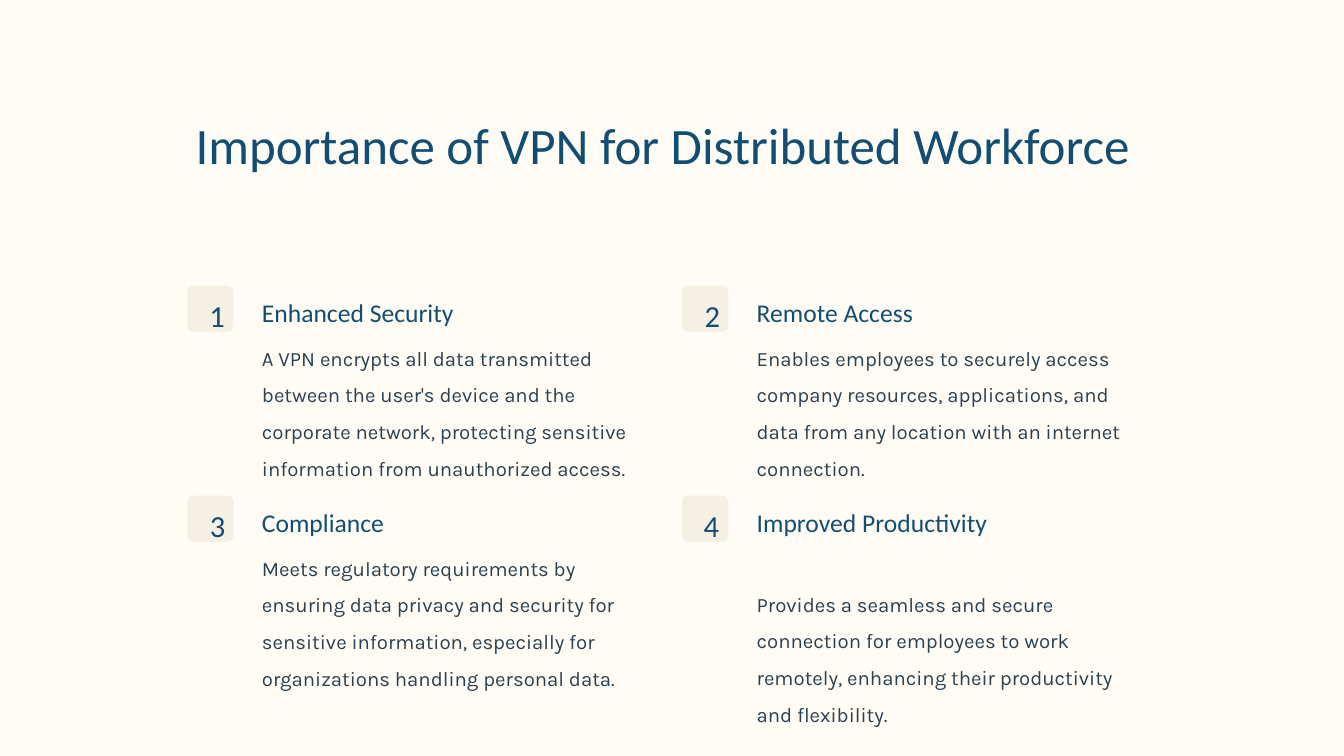
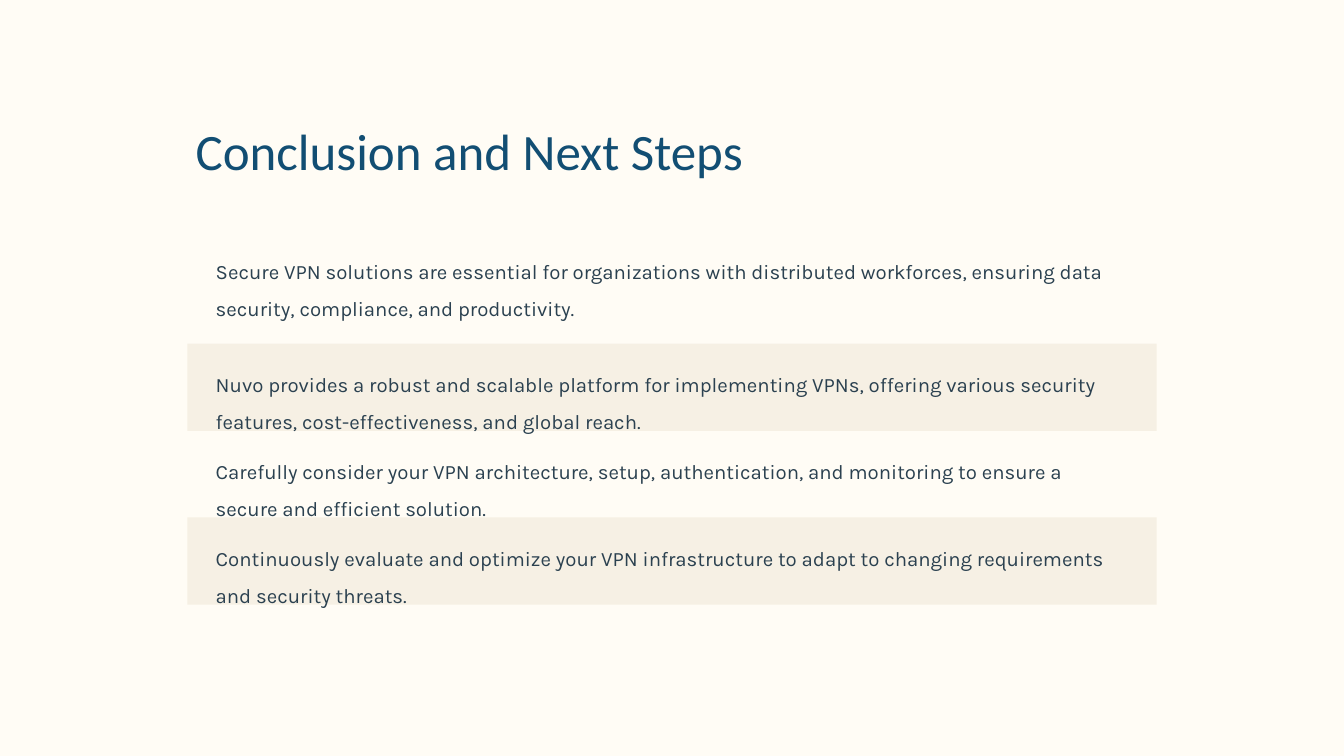
from dataclasses import dataclass

from pptx import Presentation
from pptx.dml.color import RGBColor
from pptx.enum.shapes import MSO_SHAPE
from pptx.enum.text import PP_ALIGN
from pptx.util import Emu, Pt

RECTANGLE = MSO_SHAPE.RECTANGLE
ROUNDED = MSO_SHAPE.ROUNDED_RECTANGLE
LEFT = PP_ALIGN.LEFT
CENTER = PP_ALIGN.CENTER
EMU_PER_PX = 9144
BLANK_LAYOUT = 6


@dataclass(frozen=True)
class TextStyle:
    font: str
    size: float
    color: RGBColor
    spacing: float
    align: PP_ALIGN = LEFT


class Theme:
    cream = RGBColor.from_string("FFFCF5")
    sand = RGBColor.from_string("F6F0E4")
    navy = RGBColor.from_string("124E73")
    slate = RGBColor.from_string("2B4150")
    title = TextStyle("Calibri", 43.7, navy, 1.25)
    heading = TextStyle("Calibri", 21.9, navy, 1.25)
    number = TextStyle("Calibri", 26.2, navy, 1.0, CENTER)
    body = TextStyle("Karla", 17.5, slate, 1.5)


@dataclass(frozen=True)
class Benefit:
    heading: str
    body: str
    number_width: int
    body_height: int
    heading_width: int = 304
    body_offset: int = 52


MARGIN = 223
CONTENT_WIDTH = 1154
BADGE_SIZE = 55
COLUMN_PITCH = 589
ROW_PITCH = 250
GRID_TOP = 340
BAND_TOP = 409
BAND_HEIGHT = 104
TWO_BAND_PITCH = 207

BENEFITS = [
    Benefit(
        "Enhanced Security",
        "A VPN encrypts all data transmitted between the user's device and the "
        "corporate network, protecting sensitive information from unauthorized access.",
        17, 146,
    ),
    Benefit(
        "Remote Access",
        "Enables employees to securely access company resources, applications, and "
        "data from any location with an internet connection.",
        20, 109,
    ),
    Benefit(
        "Compliance",
        "Meets regulatory requirements by ensuring data privacy and security for "
        "sensitive information, especially for organizations handling personal data.",
        21, 146,
    ),
    Benefit(
        "Improved Productivity",
        "Provides a seamless and secure connection for employees to work remotely, "
        "enhancing their productivity and flexibility.",
        23, 109, heading_width=330, body_offset=95,
    ),
]

SUMMARY = (
    "Secure VPN solutions are essential for organizations with distributed "
    "workforces, ensuring data security, compliance, and productivity."
)
NEXT_STEPS = [
    "Nuvo provides a robust and scalable platform for implementing VPNs, offering "
    "various security features, cost-effectiveness, and global reach.",
    "Carefully consider your VPN architecture, setup, authentication, and "
    "monitoring to ensure a secure and efficient solution.",
    "Continuously evaluate and optimize your VPN infrastructure to adapt to "
    "changing requirements and security threats.",
]


def px(*lengths):
    return [Emu(length * EMU_PER_PX) for length in lengths]


def add_text(page, text, style, left, top, width, height):
    box = page.shapes.add_textbox(*px(left, top, width, height))
    box.text_frame.word_wrap = True
    para = box.text_frame.paragraphs[0]
    para.text = text
    para.alignment = style.align
    para.line_spacing = style.spacing
    para.font.name = style.font
    para.font.size = Pt(style.size)
    para.font.color.rgb = style.color


def add_panel(page, kind, left, top, width, height):
    panel = page.shapes.add_shape(kind, *px(left, top, width, height))
    panel.shadow.inherit = False
    panel.fill.solid()
    panel.fill.fore_color.rgb = Theme.sand
    panel.line.fill.background()
    return panel


def add_page(deck, title, top, width, height):
    page = deck.slides.add_slide(deck.slide_layouts[BLANK_LAYOUT])
    add_text(page, title, Theme.title, MARGIN, top, width, height)
    return page


def add_benefit(page, index, benefit):
    row, column = divmod(index, 2)
    left = MARGIN + column * COLUMN_PITCH
    top = GRID_TOP + row * ROW_PITCH
    text_left = left + 79
    number_left = left + (BADGE_SIZE - benefit.number_width) // 2
    badge = add_panel(page, ROUNDED, left, top, BADGE_SIZE, BADGE_SIZE)
    badge.adjustments[0] = 0.13
    add_text(page, str(index + 1), Theme.number,
             number_left, top + 9, benefit.number_width, 36)
    add_text(page, benefit.heading, Theme.heading,
             text_left, top, benefit.heading_width, 38)
    add_text(page, benefit.body, Theme.body,
             text_left, top + benefit.body_offset, 486, benefit.body_height)


def add_step(page, index, text):
    top = BAND_TOP + index * TWO_BAND_PITCH // 2
    if index % 2 == 0:
        add_panel(page, RECTANGLE, MARGIN, top, CONTENT_WIDTH, BAND_HEIGHT)
    add_text(page, text, Theme.body, MARGIN + 24, top + 15, 1106, 73)


def build_importance(deck):
    page = add_page(deck, "Importance of VPN for Distributed Workforce",
                    112, CONTENT_WIDTH, 152)
    for index, benefit in enumerate(BENEFITS):
        add_benefit(page, index, benefit)


def build_conclusion(deck):
    page = add_page(deck, "Conclusion and Next Steps", 119, 785, 201)
    add_text(page, SUMMARY, Theme.body, MARGIN + 24, 289, 1106, BAND_HEIGHT)
    for index, text in enumerate(NEXT_STEPS):
        add_step(page, index, text)


def main():
    deck = Presentation()
    deck.slide_width, deck.slide_height = px(1600, 900)
    background = deck.slide_master.background.fill
    background.solid()
    background.fore_color.rgb = Theme.cream
    build_importance(deck)
    build_conclusion(deck)
    deck.save("out.pptx")


if __name__ == "__main__":
    main()
